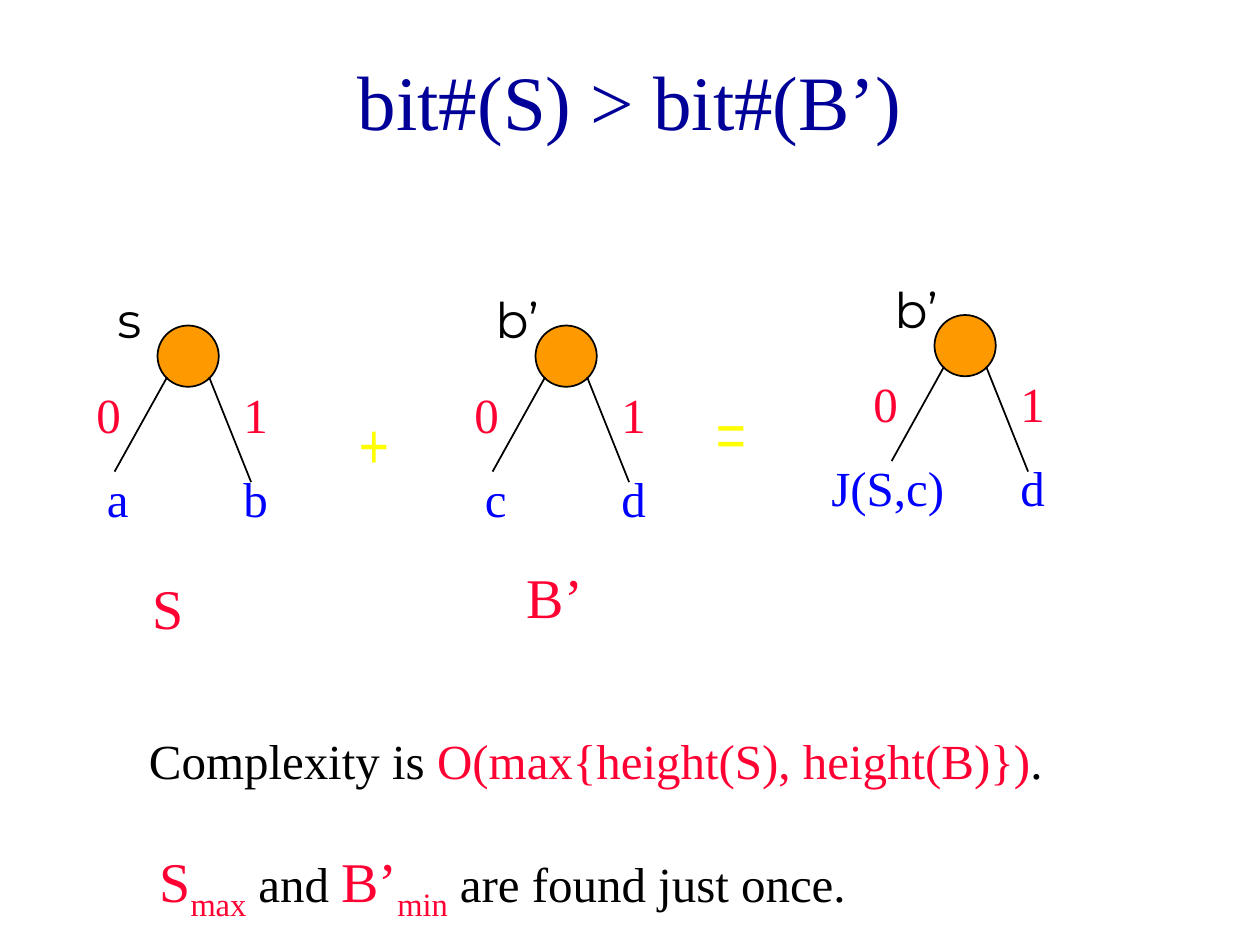
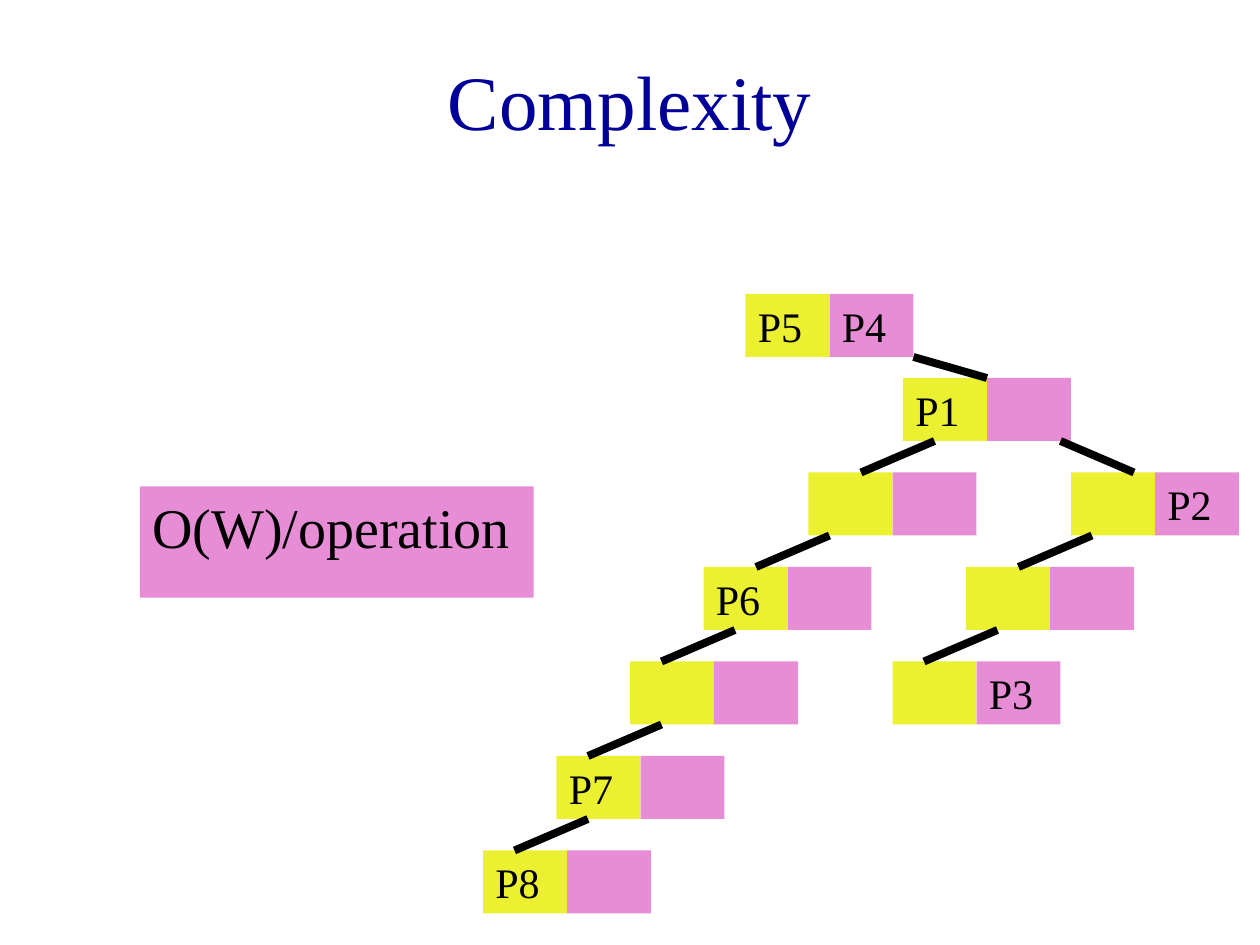
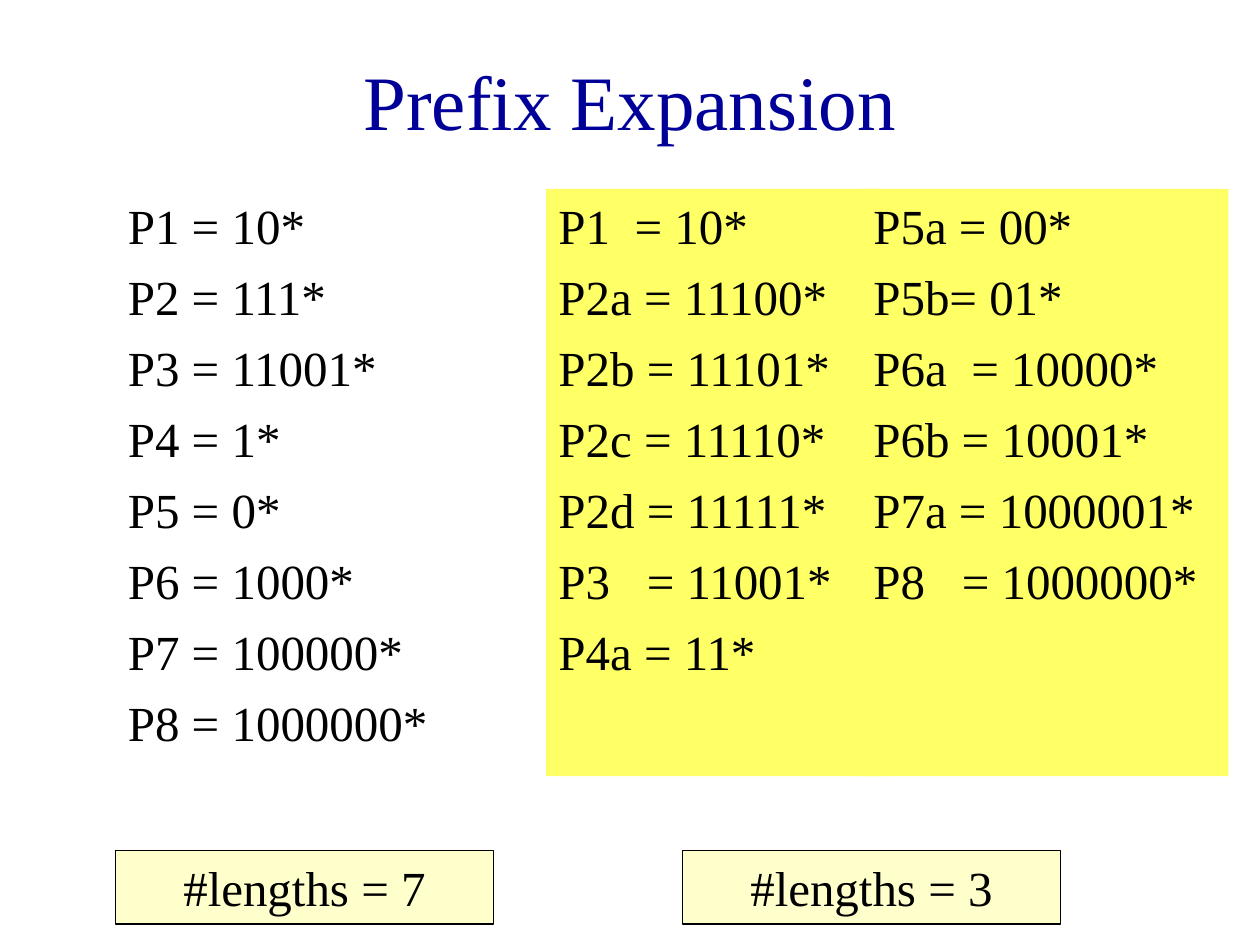
from dataclasses import dataclass
from typing import Any, Optional

import pptx
import pptx.util
import pptx.dml.color
import pptx.enum.shapes
import pptx.enum.text
import pptx.oxml
from pptx.oxml.ns import qn

Pt = pptx.util.Pt
Kind = pptx.enum.shapes.MSO_SHAPE
Align = pptx.enum.text.PP_ALIGN
Anchor = pptx.enum.text.MSO_ANCHOR


@dataclass(frozen=True)
class Theme:
    serif: str = "Times New Roman"
    sans: str = "Montserrat"
    narrow: str = "Arial Narrow"
    black: str = "000000"
    ink: str = "010000"
    white: str = "FFFFFF"
    navy: str = "000099"
    blue: str = "0000FF"
    red: str = "FF0033"
    orange: str = "FF9900"
    bright: str = "FFFF00"
    lime: str = "EBF030"
    pink: str = "E78DD6"
    lemon: str = "FFFF66"
    cream: str = "FFFFCC"
    title: float = 44
    sign: float = 36
    large: float = 32
    text: float = 28
    small: float = 24
    thin: float = 1
    thick: float = 4.5
    frame: float = 0.75
    gap: float = 7


THEME = Theme()


@dataclass(frozen=True)
class Area:
    x: float
    y: float
    w: float
    h: float


@dataclass(frozen=True)
class Style:
    size: float = THEME.text
    color: str = THEME.black
    face: str = THEME.serif
    low: bool = False


@dataclass(frozen=True)
class Look:
    """How a text block sits in its area."""
    fill: Optional[str] = None
    line: Optional[str] = None
    align: Any = Align.LEFT
    anchor: Any = Anchor.TOP
    wrap: bool = True
    pad: float = 7.2


@dataclass(frozen=True)
class Tree:
    """A branch node; x and y are the corner of its circle."""
    x: float
    y: float
    name: str
    left: str
    right: str
    left_x: float = -36
    left_w: float = 48


@dataclass(frozen=True)
class Node:
    """A two-cell node; land is where its link ends, run how far it goes across."""
    x: float
    row: int
    left: str = ""
    right: str = ""
    land: float = 0
    run: float = 0


Part = tuple[str, Style]
PLAIN = Look()
WHITE = Look(fill=THEME.white)
MIDDLE = Look(align=Align.CENTER, anchor=Anchor.MIDDLE)
BOX = Look(THEME.cream, THEME.black, Align.CENTER, Anchor.MIDDLE, False)


def rgb(color: str) -> Any:
    return pptx.dml.color.RGBColor.from_string(color)


def dress(font: Any, style: Style) -> None:
    font.name, font.size = style.face, Pt(style.size)
    font.color.rgb = rgb(style.color)


def shape(shapes: Any, kind: Any, area: Area, fill: str,
          line: Optional[str] = None, width: float = THEME.frame) -> Any:
    item = shapes.add_shape(kind, Pt(area.x), Pt(area.y), Pt(area.w), Pt(area.h))
    item.shadow.inherit = False
    item.fill.solid()
    item.fill.fore_color.rgb = rgb(fill)
    if line:
        item.line.color.rgb = rgb(line)
        item.line.width = Pt(width)
    else:
        item.line.fill.background()
    return item


def block(shapes: Any, area: Area, look: Look) -> Any:
    """Add an empty text frame, filled or clear."""
    if look.fill:
        item = shape(shapes, Kind.RECTANGLE, area, look.fill, look.line)
    else:
        item = shapes.add_textbox(Pt(area.x), Pt(area.y), Pt(area.w), Pt(area.h))
    frame = item.text_frame
    frame.word_wrap = look.wrap
    frame.vertical_anchor = look.anchor
    frame.margin_left = Pt(look.pad)
    frame.paragraphs[0].alignment = look.align
    return frame


def write(shapes: Any, area: Area, text: str, style: Style = Style(),
          look: Look = PLAIN) -> None:
    para = block(shapes, area, look).paragraphs[0]
    para.add_run().text = text
    dress(para.font, style)


def mix(shapes: Any, area: Area, parts: list[Part]) -> None:
    """Write one line whose runs differ."""
    para = block(shapes, area, WHITE).paragraphs[0]
    for text, style in parts:
        run = para.add_run()
        run.text = text
        dress(run.font, style)
        if style.low:
            run.font._element.set("baseline", "-25000")


def stop(para: Any, place: float) -> None:
    """Set one left tab stop."""
    tabs = pptx.oxml.parse_xml(
        '<a:tabLst xmlns:a="http://schemas.openxmlformats.org/drawingml/2006/main">'
        f'<a:tab pos="{Pt(place)}" algn="l"/></a:tabLst>')
    para._p.get_or_add_pPr().append(tabs)


def column(shapes: Any, area: Area, rows: list[str], look: Look = PLAIN) -> None:
    frame = block(shapes, area, look)
    for i, row in enumerate(rows):
        para = frame.add_paragraph() if i else frame.paragraphs[0]
        para.alignment = look.align
        if i:
            para.space_before = Pt(THEME.gap)
        key, tab, _ = row.partition("\t")
        if tab:
            stop(para, STOPS[key])
        para.add_run().text = row
        dress(para.font, Style())


def link(shapes: Any, x1: float, y1: float, x2: float, y2: float,
         width: float) -> None:
    line = shapes.add_connector(pptx.enum.shapes.MSO_CONNECTOR.STRAIGHT,
                                Pt(x1), Pt(y1), Pt(x2), Pt(y2))
    line.line.color.rgb = rgb(THEME.black)
    line.line.width = Pt(width)
    props = line._element.spPr
    props.append(props.makeelement(qn("a:effectLst"), {}))


def page(deck: Any, title: str) -> Any:
    """Add a titled slide and return its shapes."""
    shapes = deck.slides.add_slide(deck.slide_layouts[6]).shapes
    write(shapes, Area(54, 12, 612, 90), title,
          Style(THEME.title, THEME.navy), MIDDLE)
    return shapes


RED = Style(color=THEME.red)
BLUE = Style(color=THEME.blue)
HEAD = Style(THEME.large, THEME.red)
SUB = Style(THEME.large, THEME.red, low=True)
SIGN = Style(THEME.sign, THEME.bright, THEME.narrow)
LINE_H = 41

TREES = [
    Tree(90, 186, "s", "a", "b"),
    Tree(306, 186, "b’", "c", "d"),
    Tree(534, 180, "b’", "J(S,c)", "d", -66, 84),
]


def branch(shapes: Any, tree: Tree) -> Any:
    group = shapes.add_group_shape().shapes
    x, y = tree.x, tree.y
    shape(group, Kind.OVAL, Area(x, y, 35, 35), THEME.orange, THEME.black, THEME.thin)
    link(group, x + 5.5, y + 29.5, x - 24.5, y + 83.5, THEME.thin)
    link(group, x + 29.5, y + 29.5, x + 53.5, y + 89.5, THEME.thin)
    for text, dx, dy, wide, style in (
            ("0", -42, 30, 36, RED),
            ("1", 42, 30, 36, RED),
            (tree.name, -30, -24, 48, Style(color=THEME.ink, face=THEME.sans)),
            (tree.left, tree.left_x, 78, tree.left_w, BLUE),
            (tree.right, 42, 78, 48, BLUE)):
        write(group, Area(x + dx, y + dy, wide, LINE_H), text, style)
    return group


def join_page(deck: Any) -> None:
    shapes = page(deck, "bit#(S) > bit#(B’)")
    first, second, _ = [branch(shapes, tree) for tree in TREES]
    write(first, Area(72, 324, 48, 45), "S", HEAD, Look(THEME.white, pad=15.2))
    write(second, Area(294, 318, 54, 45), "B’", HEAD, WHITE)
    sign = Look(align=Align.CENTER, wrap=False)
    write(shapes, Area(198, 228, 19.5, 44.5), "+", SIGN, sign)
    write(shapes, Area(402, 222, 19.5, 44.5), "=", SIGN, sign)
    mix(shapes, Area(78, 414, 594, LINE_H), [
        ("Complexity is ", Style()),
        ("O(max{height(S), height(B)})", RED),
        (".", Style())])
    mix(shapes, Area(84, 480, 594, 45), [
        ("S", HEAD), ("max", SUB), (" and ", Style()),
        ("B’", HEAD), ("min", SUB), (" are found just once.", Style())])


CELL_W, CELL_H = 48, 36
ROWS = [168, *range(216, 487, 54)]
NODES = [
    Node(426, 0, "P5", "P4"),
    Node(516, 1, "P1", land=48, run=42),
    Node(612, 2, right="P2", land=36, run=42),
    Node(462, 2, land=30, run=-42),
    Node(552, 3, land=30, run=-42),
    Node(402, 3, "P6", land=30, run=-42),
    Node(510, 4, right="P3", land=18, run=-42),
    Node(360, 4, land=18, run=-42),
    Node(318, 5, "P7", land=18, run=-42),
    Node(276, 6, "P8", land=18, run=-42),
]


def cost_page(deck: Any) -> None:
    shapes = page(deck, "Complexity")
    write(shapes, Area(80, 278, 225, 63.5), "O(W)/operation",
          Style(THEME.large), Look(THEME.pink))
    for node in NODES:
        cells = ((node.left, THEME.lime), (node.right, THEME.pink))
        for i, (text, fill) in enumerate(cells):
            area = Area(node.x + i * CELL_W, ROWS[node.row], CELL_W, CELL_H)
            if text:
                write(shapes, area, text, Style(THEME.small), Look(fill))
            else:
                shape(shapes, Kind.RECTANGLE, area, fill)
    for node in NODES[1:]:
        end = node.x + node.land
        link(shapes, end - node.run, ROWS[node.row - 1] + CELL_H,
             end, ROWS[node.row], THEME.thick)


STOPS = {"P1": 43.5, "P3": 50.5, "P6a": 56, "P8": 50.5}
GIVEN = ["P1 = 10*", "P2 = 111*", "P3 = 11001*", "P4 = 1*", "P5 = 0*",
         "P6 = 1000*", "P7 = 100000*", "P8 = 1000000*"]
GROWN = ["P1\t= 10*", "P2a = 11100*", "P2b = 11101*", "P2c = 11110*",
         "P2d = 11111*", "P3\t= 11001*", "P4a = 11*"]
MORE = ["P5a = 00*", "P5b= 01*", "P6a\t= 10000*", "P6b = 10001*",
        "P7a = 1000001*", "P8\t= 1000000*"]


def prefix_page(deck: Any) -> None:
    shapes = page(deck, "Prefix Expansion")
    for x, wide, rows, look in (
            (66, 230, GIVEN, PLAIN),
            (312, 192, GROWN, Look(THEME.lemon)),
            (492, 210, MORE, Look(THEME.lemon))):
        column(shapes, Area(x, 108, wide, 335.5), rows, look)
    for x, count in ((66, 7), (390, 3)):
        write(shapes, Area(x, 486, 216, 42), f"#lengths = {count}", look=BOX)


def main() -> None:
    deck = pptx.Presentation()
    deck.slide_width, deck.slide_height = Pt(720), Pt(540)
    join_page(deck)
    cost_page(deck)
    prefix_page(deck)
    deck.save("out.pptx")


if __name__ == "__main__":
    main()
